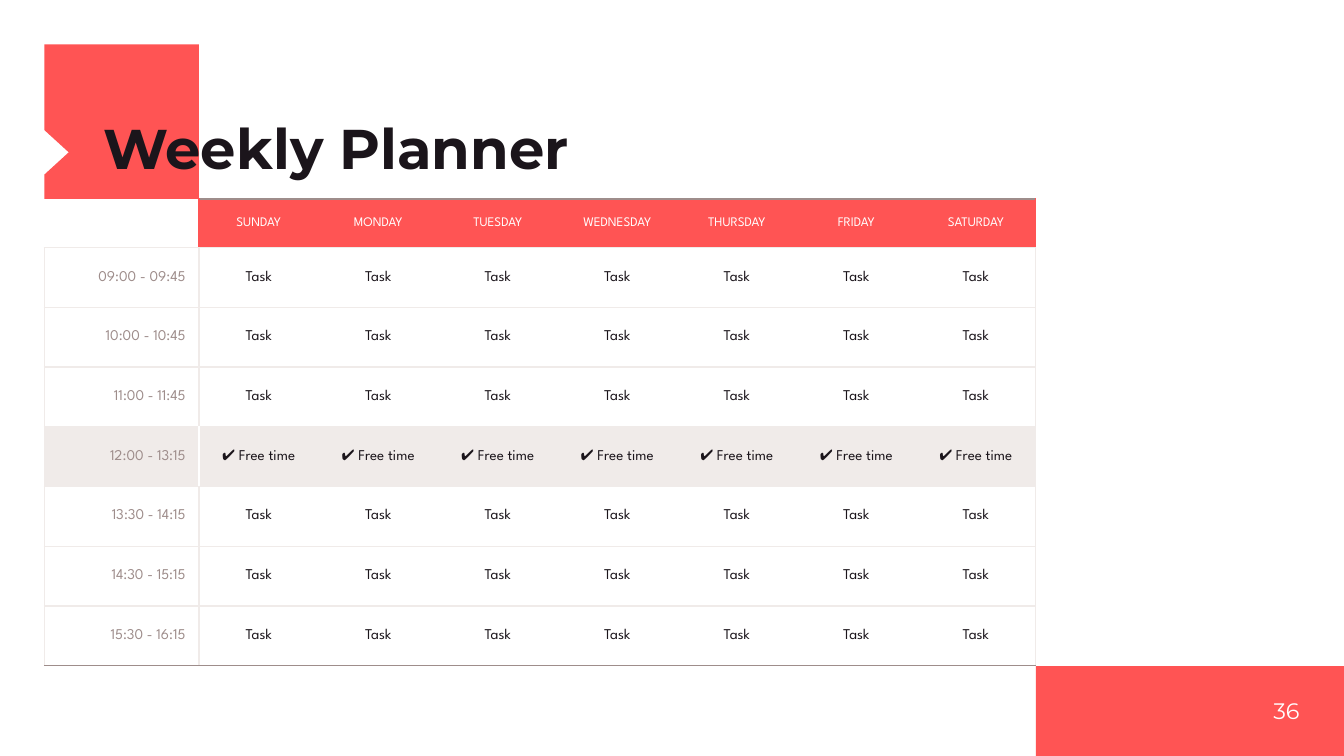
from pptx import Presentation
from pptx.dml.color import RGBColor
from pptx.enum.shapes import MSO_SHAPE
from pptx.enum.text import MSO_ANCHOR, PP_ALIGN
from pptx.oxml.ns import qn
from pptx.util import Cm, Pt
from lxml.etree import SubElement

CORAL, INK, TAUPE, MIST, WHITE = "FF5454", "1B151B", "9E8D8B", "F0EBE9", "FFFFFF"
MARGIN, SQUARE, DAY_WIDTH = 0.84, 2.92, 2.26
HEADER_HEIGHT, ROW_HEIGHT = 0.92, 1.13
PAGE_WIDTH, PAGE_HEIGHT = 25.4, 14.29


def paint(target, color):
    if hasattr(target, "solid"):
        target.solid()
        target = target.fore_color
    target.rgb = RGBColor.from_string(color)


def write(frame, text, color, align, frame_format, font_format):
    for name, value in frame_format.items():
        setattr(frame, name, value)
    para = frame.paragraphs[0]
    para.alignment = align
    span = para.add_run()
    span.text = text
    for name, value in font_format.items():
        setattr(span.font, name, value)
    paint(span.font.color, color)
    return para


deck = Presentation()
deck.slide_width, deck.slide_height = Cm(PAGE_WIDTH), Cm(PAGE_HEIGHT)
page = deck.slides.add_slide(deck.slide_layouts[6])

days = ["SUNDAY", "MONDAY", "TUESDAY", "WEDNESDAY", "THURSDAY", "FRIDAY", "SATURDAY"]
times = [
    "09:00 - 09:45", "10:00 - 10:45", "11:00 - 11:45", "12:00 - 13:15",
    "13:30 - 14:15", "14:30 - 15:15", "15:30 - 16:15",
]
break_time = "12:00 - 13:15"
table_top = MARGIN + SQUARE
table_width = SQUARE + DAY_WIDTH * len(days)
table_height = HEADER_HEIGHT + ROW_HEIGHT * len(times)
footer_left, footer_top = MARGIN + table_width, table_top + table_height

far = MARGIN + SQUARE
corners = [(far, MARGIN), (far, far), (MARGIN, far), (MARGIN, 3.3), (1.3, 2.88), (MARGIN, 2.46)]
builder = page.shapes.build_freeform(Cm(MARGIN), Cm(MARGIN))
builder.add_line_segments([(Cm(x), Cm(y)) for x, y in corners])
notched_square = builder.convert_to_shape()
footer = page.shapes.add_shape(
    MSO_SHAPE.RECTANGLE, Cm(footer_left), Cm(footer_top),
    Cm(PAGE_WIDTH - footer_left), Cm(PAGE_HEIGHT - footer_top),
)
for block in (notched_square, footer):
    block.shadow.inherit = False
    paint(block.fill, CORAL)
    block.line.fill.background()

flush = {"margin_left": 0, "margin_right": 0, "margin_top": 0, "margin_bottom": 0, "word_wrap": True}
title = page.shapes.add_textbox(Cm(1.96), Cm(2.31), Cm(14.25), Cm(1.09))
title_para = write(
    title.text_frame, "Weekly Planner", INK, PP_ALIGN.LEFT,
    {**flush, "vertical_anchor": MSO_ANCHOR.BOTTOM},
    {"name": "Montserrat", "size": Pt(30), "bold": True},
)
title_para.line_spacing = 0.8
number = page.shapes.add_textbox(Cm(22.86), Cm(footer_top), Cm(1.7), Cm(1.7))
write(
    number.text_frame, "36", WHITE, PP_ALIGN.RIGHT,
    {**flush, "vertical_anchor": MSO_ANCHOR.MIDDLE},
    {"name": "Montserrat", "size": Pt(12)},
)

planner = page.shapes.add_table(
    len(times) + 1, len(days) + 1, Cm(MARGIN), Cm(table_top), Cm(table_width), Cm(table_height)
).table
planner.first_row = planner.horz_banding = False
for index, column in enumerate(planner.columns):
    column.width = Cm(DAY_WIDTH if index else SQUARE)
for index, row in enumerate(planner.rows):
    row.height = Cm(ROW_HEIGHT if index else HEADER_HEIGHT)

rows = [["", *days]]
for time in times:
    rows.append([time] + ["✔ Free time" if time == break_time else "Task"] * len(days))

cell_format = {"vertical_anchor": MSO_ANCHOR.MIDDLE}
for side in ("left", "right", "top", "bottom"):
    cell_format[f"margin_{side}"] = Cm(0.25)

for r, texts in enumerate(rows):
    header, free = r == 0, texts[0] == break_time
    edge = CORAL if header else MIST
    divider = WHITE if free else edge
    for c, text in enumerate(texts):
        cell = planner.cell(r, c)
        for name, value in cell_format.items():
            setattr(cell, name, value)
        top = (TAUPE if c else None) if header else MIST
        borders = {
            "a:lnL": {0: None if header else edge, 1: divider}.get(c),
            "a:lnR": {0: divider, len(days): edge}.get(c),
            "a:lnT": top,
            "a:lnB": TAUPE if r == len(times) else MIST,
        }
        properties = cell._tc.get_or_add_tcPr()
        for tag, color in borders.items():
            line = SubElement(properties, qn(tag), w=str(Pt(0.75)))
            if color:
                SubElement(SubElement(line, qn("a:solidFill")), qn("a:srgbClr"), val=color)
            else:
                SubElement(line, qn("a:noFill"))
        if header and c:
            paint(cell.fill, CORAL)
        elif free:
            paint(cell.fill, MIST)
        else:
            cell.fill.background()
        if text:
            write(
                cell.text_frame, text, WHITE if header else INK if c else TAUPE,
                PP_ALIGN.CENTER if c else PP_ALIGN.RIGHT, {},
                {"name": "League Spartan", "size": Pt(7 if header else 8)},
            )
        else:
            SubElement(cell.text_frame.paragraphs[0]._p, qn("a:endParaRPr"), sz="700")

deck.save("out.pptx")
